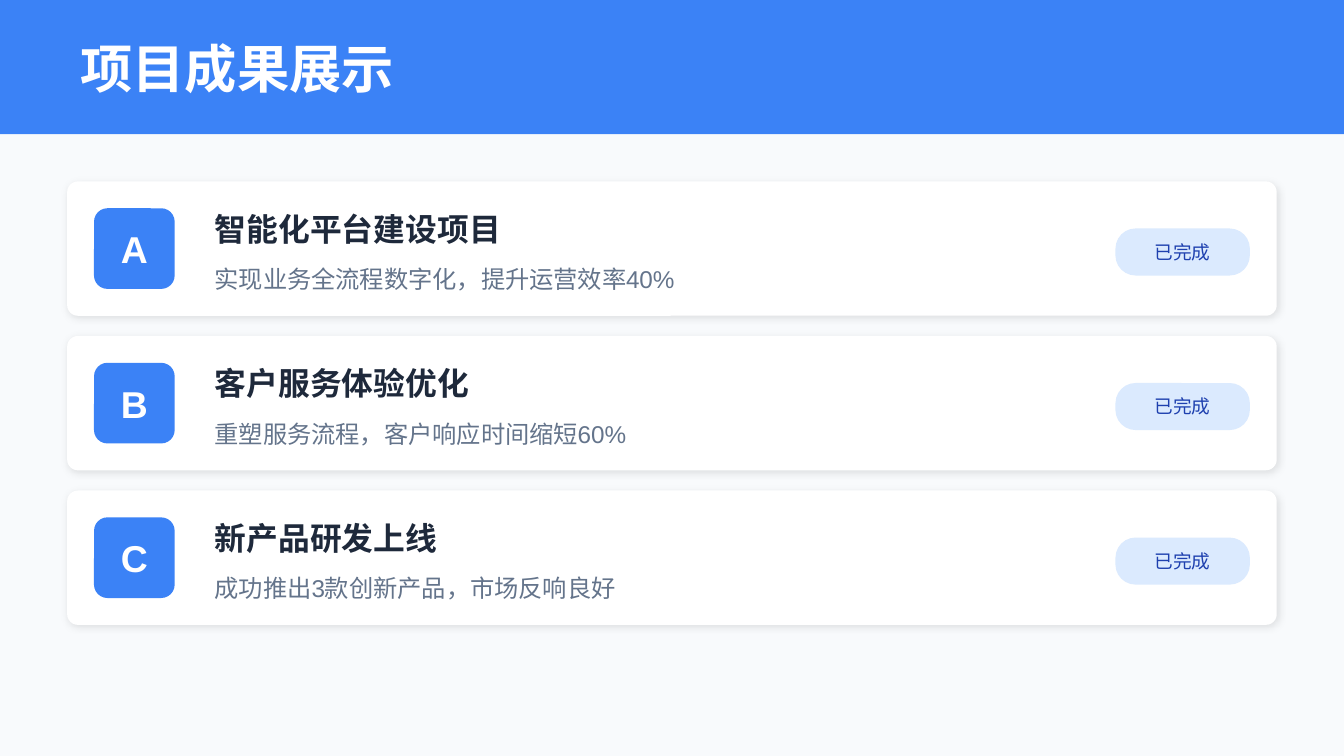
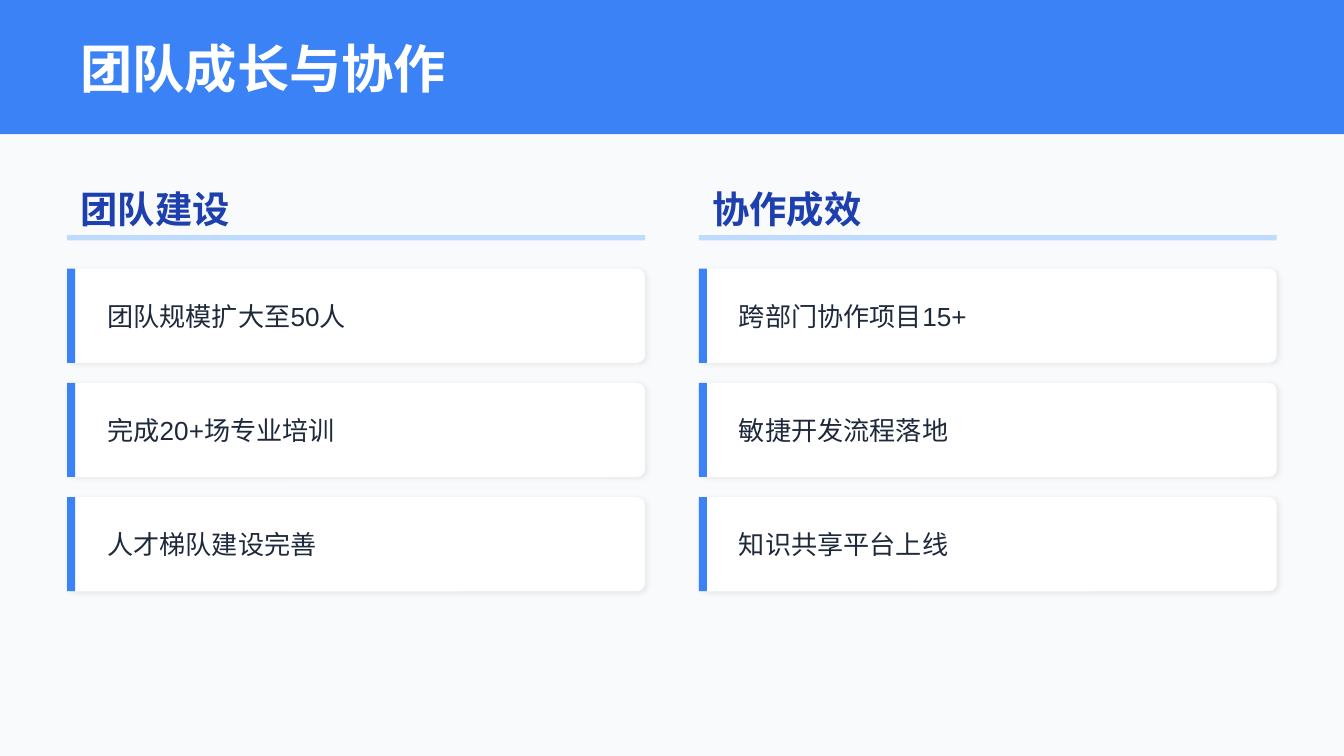
from lxml import etree
from pptx import Presentation
from pptx import util as u
from pptx.dml import color
from pptx.enum import shapes, text
from pptx.oxml import ns

# Shared style
WIDTH = 10
HEIGHT = WIDTH * 9 / 16
BAND_HEIGHT = 1
MARGIN = 0.5
FONT = "Arial"
BLUE, NAVY, PALE_BLUE, RULE_BLUE = "3B82F6", "1E40AF", "DBEAFE", "BFDBFE"
WHITE, BACKGROUND, INK, GREY = "FFFFFF", "F8FAFC", "1E293B", "64748B"
LEFT, CENTER = text.PP_ALIGN.LEFT, text.PP_ALIGN.CENTER

# Content
PROJECTS = [
    ("A", "智能化平台建设项目", "实现业务全流程数字化，提升运营效率40%"),
    ("B", "客户服务体验优化", "重塑服务流程，客户响应时间缩短60%"),
    ("C", "新产品研发上线", "成功推出3款创新产品，市场反响良好"),
]
STATUS = "已完成"
TEAM_COLUMNS = [
    ("团队建设", ["团队规模扩大至50人", "完成20+场专业培训", "人才梯队建设完善"]),
    ("协作成效", ["跨部门协作项目15+", "敏捷开发流程落地", "知识共享平台上线"]),
]


def rgb(value):
    return color.RGBColor.from_string(value)


def write(shape, words, size, ink, bold=False, align=LEFT):
    frame = shape.text_frame
    frame.word_wrap = True
    frame.auto_size = text.MSO_AUTO_SIZE.NONE
    frame.vertical_anchor = text.MSO_ANCHOR.MIDDLE
    paragraph = frame.paragraphs[0]
    paragraph.alignment = align
    run = paragraph.add_run()
    run.text = words
    run.font.name = FONT
    run.font.size = u.Pt(size)
    run.font.bold = bold
    run.font.color.rgb = rgb(ink)


def add_text(slide, left, top, width, height, words, size, ink, bold=False):
    box = slide.shapes.add_textbox(*map(u.Inches, (left, top, width, height)))
    write(box, words, size, ink, bold)


def add_box(slide, left, top, width, height, fill, radius=0):
    """Add a plain rectangle, rounded when a radius in inches is given."""
    kind = shapes.MSO_SHAPE.ROUNDED_RECTANGLE if radius else shapes.MSO_SHAPE.RECTANGLE
    box = slide.shapes.add_shape(kind, *map(u.Inches, (left, top, width, height)))
    if radius:
        box.adjustments[0] = radius / min(width, height)
    box.fill.solid()
    box.fill.fore_color.rgb = rgb(fill)
    box.line.fill.background()
    box.shadow.inherit = False
    return box


def add_shadow(shape, opacity, blur):
    """Add a soft black shadow towards the lower right."""
    effects = shape.element.spPr.find(ns.qn("a:effectLst"))
    shadow = etree.SubElement(
        effects, ns.qn("a:outerShdw"), blurRad=str(u.Pt(blur)),
        dist=str(u.Pt(1)), dir=str(45 * 60000), algn="bl", rotWithShape="0")
    black = etree.SubElement(shadow, ns.qn("a:srgbClr"), val="000000")
    etree.SubElement(black, ns.qn("a:alpha"), val=str(opacity * 1000))


def add_titled_slide(presentation, words):
    slide = presentation.slides.add_slide(presentation.slide_layouts[5])
    add_box(slide, 0, 0, WIDTH, BAND_HEIGHT, BLUE)
    add_box(slide, 0, BAND_HEIGHT, WIDTH, HEIGHT - BAND_HEIGHT, BACKGROUND)
    title = slide.shapes.title
    title.left, title.top, title.width, title.height = map(
        u.Inches, (MARGIN, 0.2, WIDTH - 2 * MARGIN, 0.6))
    write(title, words, 28, WHITE, bold=True)
    # Bring the title in front of the band
    title.element.getparent().append(title.element)
    return slide


def add_project_card(slide, top, letter, name, result):
    card = add_box(slide, MARGIN, top, WIDTH - 2 * MARGIN, 1, WHITE, radius=0.08)
    add_shadow(card, opacity=10, blur=4)
    badge = add_box(slide, 0.7, top + 0.2, 0.6, 0.6, BLUE, radius=0.1)
    write(badge, letter, 20, WHITE, bold=True, align=CENTER)
    add_text(slide, 1.5, top + 0.15, 6, 0.4, name, 17, INK, bold=True)
    add_text(slide, 1.5, top + 0.55, 6, 0.35, result, 13, GREY)
    pill = add_box(slide, 8.3, top + 0.35, 1, 0.35, PALE_BLUE, radius=0.15)
    write(pill, STATUS, 10, NAVY, align=CENTER)


def add_team_column(slide, left, heading, items):
    width, row_height, row_step = 4.3, 0.7, 0.85
    add_text(slide, left, 1.3, 4.5, 0.5, heading, 20, NAVY, bold=True)
    add_box(slide, left, 1.75, width, 0.04, RULE_BLUE)
    for row, item in enumerate(items):
        top = 2 + row * row_step
        card = add_box(slide, left, top, width, row_height, WHITE, radius=0.06)
        add_shadow(card, opacity=8, blur=3)
        add_box(slide, left, top, 0.06, row_height, BLUE)
        add_text(slide, left + 0.2, top + 0.15, 4, 0.4, item, 14, INK)


def main():
    presentation = Presentation()
    presentation.slide_width = u.Inches(WIDTH)
    presentation.slide_height = u.Inches(HEIGHT)

    # Project results
    slide = add_titled_slide(presentation, "项目成果展示")
    for row, project in enumerate(PROJECTS):
        add_project_card(slide, 1.35 + row * 1.15, *project)

    # Team growth and collaboration
    slide = add_titled_slide(presentation, "团队成长与协作")
    for column, (heading, items) in enumerate(TEAM_COLUMNS):
        add_team_column(slide, MARGIN + column * 4.7, heading, items)

    presentation.save("out.pptx")


if __name__ == "__main__":
    main()
